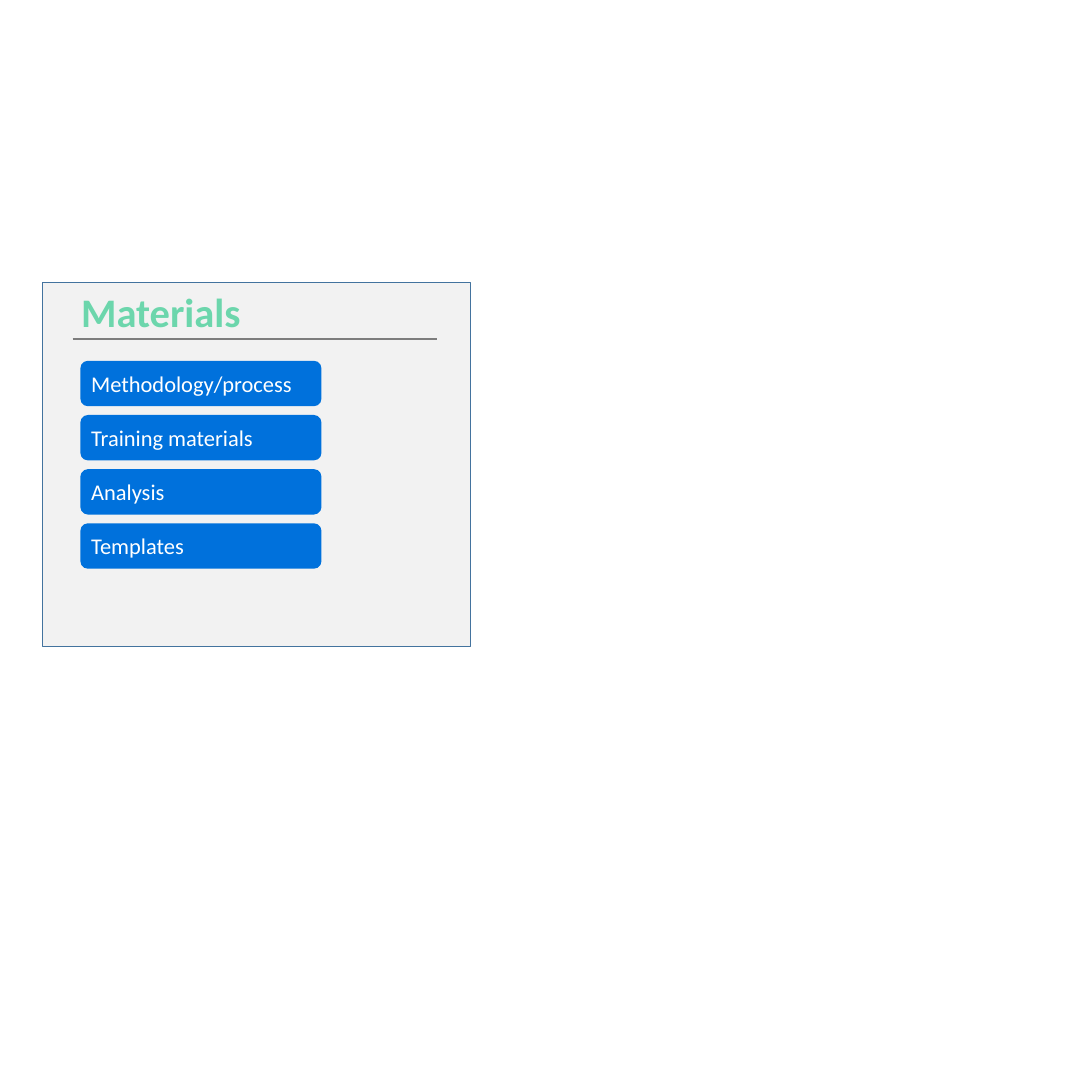
from lxml.etree import SubElement
from pptx import Presentation
from pptx.dml.color import RGBColor
from pptx.enum.shapes import MSO_CONNECTOR, MSO_SHAPE
from pptx.enum.text import MSO_ANCHOR, MSO_AUTO_SIZE, PP_ALIGN
from pptx.oxml.ns import qn
from pptx.util import Inches, Pt

HUES = {
    "panel": "F2F2F2",
    "edge": "43739E",
    "title": "6CD6AC",
    "rule": "7D7D7D",
    "button": "0071DC",
    "label": "FFFFFF",
}
LABELS = ["Methodology/process", "Training materials", "Analysis", "Templates"]
LEFT, TOP, WIDTH, HEIGHT, STEP = 0.92, 4.13, 2.76, 0.52, 0.62


def hue(name):
    """Return the named colour."""
    return RGBColor.from_string(HUES[name])


def apply(item, values):
    """Set each attribute in values on item."""
    for name, value in values.items():
        setattr(item, name, value)


def write(shape, text, size, color, bold, anchor):
    """Put one left-aligned line of text in a shape."""
    frame = shape.text_frame
    frame.text = text
    apply(frame, {"word_wrap": True, "auto_size": MSO_AUTO_SIZE.NONE,
                  "vertical_anchor": anchor})
    line = frame.paragraphs[0]
    line.alignment = PP_ALIGN.LEFT
    font = line.runs[0].font
    apply(font, {"name": "Calibri", "size": Pt(size), "bold": bold})
    font.color.rgb = hue(color)


def add_box(slide, kind, box, fill):
    """Add a flat filled shape without an outline."""
    shape = slide.shapes.add_shape(kind, *map(Inches, box))
    shape.shadow.inherit = False
    shape.fill.solid()
    shape.fill.fore_color.rgb = hue(fill)
    shape.line.fill.background()
    return shape


def add_panel(slide):
    """Add the outlined panel behind the title."""
    panel = add_box(slide, MSO_SHAPE.RECTANGLE, (0.49, 3.23, 4.9, 4.17), "panel")
    panel.line.color.rgb = hue("edge")
    panel.line.width = Pt(1)
    slide.shapes.title.element.addprevious(panel.element)


def set_title(slide, text):
    """Place and format the title."""
    title = slide.shapes.title
    apply(title, {"left": Inches(0.83), "top": Inches(3.23),
                  "width": Inches(6.57), "height": Inches(0.66)})
    write(title, text, 33.4, "title", True, MSO_ANCHOR.TOP)


def add_rule(slide):
    """Add the line under the title."""
    ends = map(Inches, (0.83, 3.88, 5, 3.88))
    rule = slide.shapes.add_connector(MSO_CONNECTOR.STRAIGHT, *ends)
    rule.line.color.rgb = hue("rule")
    rule.line.width = Pt(2.25)
    SubElement(rule.element.spPr, qn("a:effectLst"))


def add_button(slide, row, text):
    """Add the labelled button of one row."""
    box = (LEFT, TOP + row * STEP, WIDTH, HEIGHT)
    button = add_box(slide, MSO_SHAPE.ROUNDED_RECTANGLE, box, "button")
    write(button, text, 18.5, "label", False, MSO_ANCHOR.MIDDLE)


def main():
    """Build and save the slide."""
    deck = Presentation()
    apply(deck, {"slide_width": Inches(12.35), "slide_height": Inches(12.5)})
    slide = deck.slides.add_slide(deck.slide_layouts[5])
    add_panel(slide)
    set_title(slide, "Materials")
    add_rule(slide)
    for row, text in enumerate(LABELS):
        add_button(slide, row, text)
    deck.save("out.pptx")


if __name__ == "__main__":
    main()
